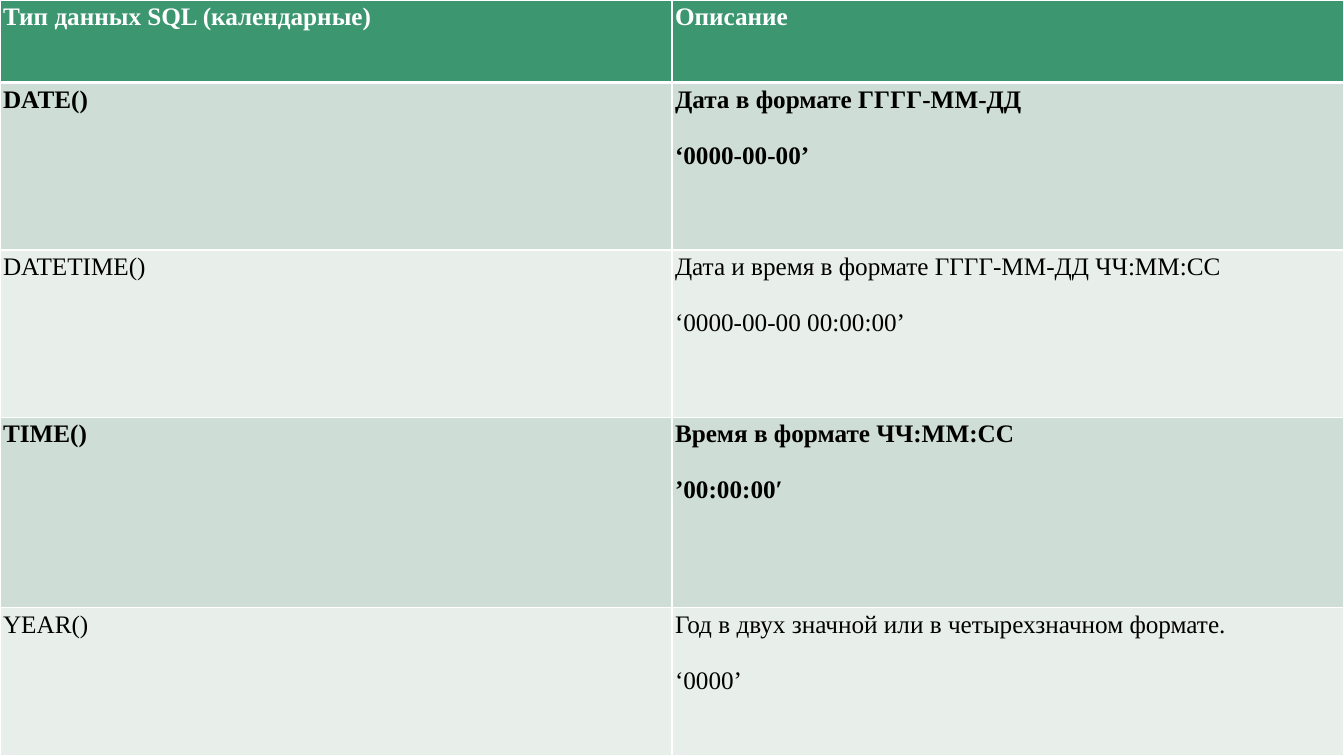
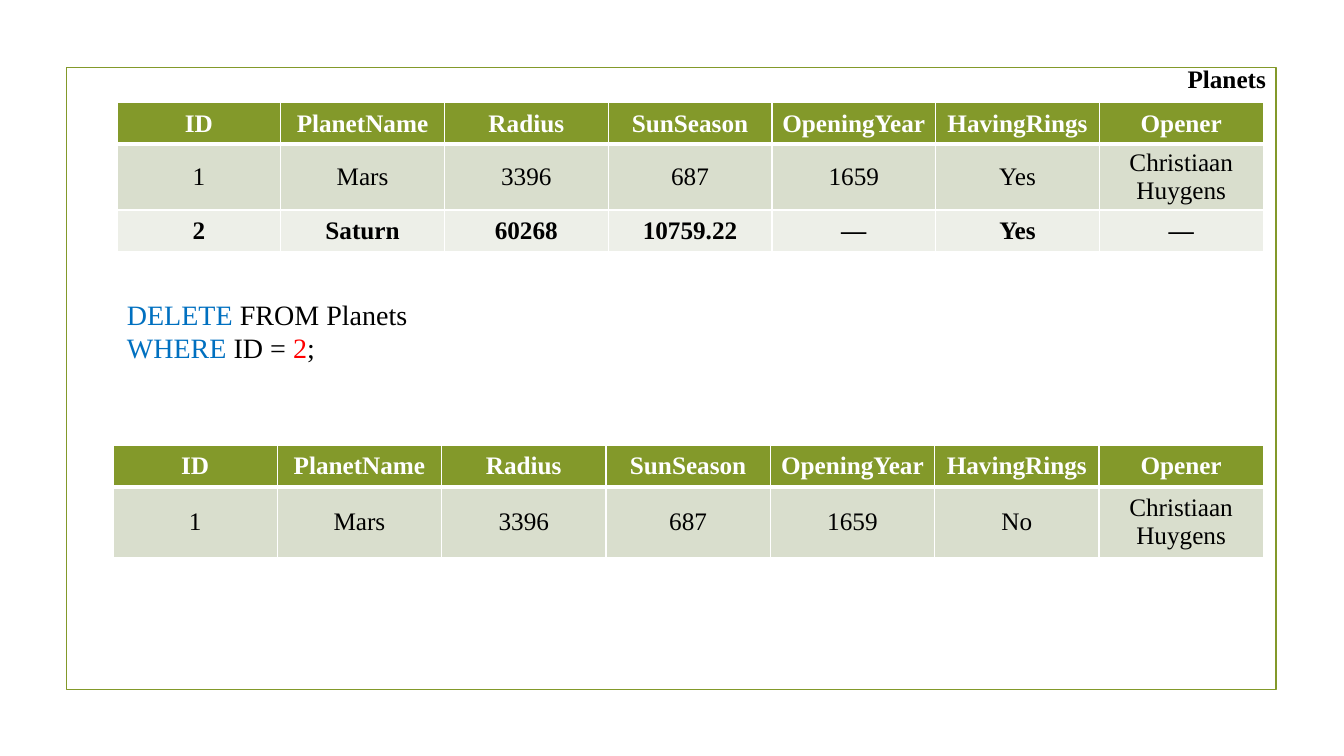
from dataclasses import dataclass

from lxml import etree
from pptx import Presentation
from pptx.dml.color import RGBColor
from pptx.enum.shapes import MSO_SHAPE
from pptx.enum.text import MSO_ANCHOR, PP_ALIGN
from pptx.oxml.ns import qn
from pptx.util import Inches, Pt

RECTANGLE = MSO_SHAPE.RECTANGLE
TOP, MIDDLE = MSO_ANCHOR.TOP, MSO_ANCHOR.MIDDLE
LEFT, CENTER = PP_ALIGN.LEFT, PP_ALIGN.CENTER

FONT = "Times New Roman"
COLORS = {
    "white": "FFFFFF",
    "black": "000000",
    "olive": "83992A",
    "olive_band": "D9DECD",
    "olive_light": "EDEFE8",
    "green": "3C9770",
    "green_band": "CEDDD5",
    "green_light": "E8EFEB",
    "keyword": "0070C0",
    "number": "FF0000",
}
SLIDE_WIDTH, SLIDE_HEIGHT = 13.33, 7.5


@dataclass(frozen=True)
class Row:
    cells: tuple[str, ...]
    height: float
    bold: bool = False


@dataclass(frozen=True)
class TableStyle:
    header: str
    bands: tuple[str, str]
    alignment: PP_ALIGN
    anchor: MSO_ANCHOR
    margins: tuple[float, float]  # horizontal, vertical
    paragraph_gap: float = 0


@dataclass(frozen=True)
class Box:
    left: float
    top: float
    width: float
    height: float

    def lengths(self) -> tuple:
        return tuple(map(Inches, (self.left, self.top, self.width, self.height)))


TYPES_STYLE = TableStyle("green", ("green_band", "green_light"), LEFT, TOP, (0.03, 0.03), 20)
PLANETS_STYLE = TableStyle("olive", ("olive_band", "olive_light"), CENTER, MIDDLE, (0.1, 0.05))

TYPE_ROWS = (
    Row(("Тип данных SQL (календарные)", "Описание"), 0.82, True),
    Row(("DATE()", "Дата в формате ГГГГ-ММ-ДД\n‘0000-00-00’"), 1.66, True),
    Row(("DATETIME()", "Дата и время в формате ГГГГ-ММ-ДД ЧЧ:ММ:СС\n‘0000-00-00 00:00:00’"), 1.66),
    Row(("TIME()", "Время в формате ЧЧ:ММ:СС\n’00:00:00′"), 1.89, True),
    Row(("YEAR()", "Год в двух значной или в четырехзначном формате.\n‘0000’"), 1.47),
)

PLANET_HEADER = Row(("ID", "PlanetName", "Radius", "SunSeason", "OpeningYear", "HavingRings", "Opener"),
                    0.41, True)
ROWS_BEFORE = (
    PLANET_HEADER,
    Row(("1", "Mars", "3396", "687", "1659", "Yes", "Christiaan Huygens"), 0.65),
    Row(("2", "Saturn", "60268", "10759.22", "—", "Yes", "—"), 0.41, True),
)
ROWS_AFTER = (
    PLANET_HEADER,
    Row(("1", "Mars", "3396", "687", "1659", "No", "Christiaan Huygens"), 0.7),
)

QUERY = (
    (("DELETE", "keyword"), (" FROM Planets", "black")),
    (("WHERE", "keyword"), (" ID = ", "black"), ("2", "number"), (";", "black")),
)


def rgb(color: str) -> RGBColor:
    return RGBColor.from_string(COLORS[color])


def format_font(font, size: float, color: str, bold: bool = False) -> None:
    font.name = FONT
    font.size = Pt(size)
    font.bold = bold
    font.color.rgb = rgb(color)


def set_borders(cell, top: float, bottom: float) -> None:
    """White cell borders; widths in points."""
    properties = cell._tc.get_or_add_tcPr()
    for tag, width in (("a:lnL", 1), ("a:lnR", 1), ("a:lnT", top), ("a:lnB", bottom)):
        line = etree.SubElement(properties, qn(tag), w=str(Pt(width)))
        fill = etree.SubElement(line, qn("a:solidFill"))
        etree.SubElement(fill, qn("a:srgbClr"), val=COLORS["white"])


def fill_cell(cell, text: str, row: Row, row_index: int, style: TableStyle) -> None:
    is_header = row_index == 0
    set_borders(cell, top=3 if row_index == 1 else 1, bottom=3 if is_header else 1)
    cell.fill.solid()
    cell.fill.fore_color.rgb = rgb(style.header if is_header else style.bands[(row_index - 1) % 2])
    horizontal, vertical = map(Inches, style.margins)
    cell.margin_left = cell.margin_right = horizontal
    cell.margin_top = cell.margin_bottom = vertical
    cell.vertical_anchor = style.anchor
    cell.text_frame.text = text
    for index, paragraph in enumerate(cell.text_frame.paragraphs):
        paragraph.alignment = style.alignment
        if index:
            paragraph.space_before = Pt(style.paragraph_gap)
        for run in paragraph.runs:
            format_font(run.font, 18, "white" if is_header else "black", row.bold)


def add_data_table(slide, left: float, top: float, width: float,
                   rows: tuple[Row, ...], style: TableStyle) -> None:
    column_count = len(rows[0].cells)
    box = Box(left, top, width, sum(row.height for row in rows))
    table = slide.shapes.add_table(len(rows), column_count, *box.lengths()).table
    for column in table.columns:
        column.width = Inches(width / column_count)
    for row_index, row in enumerate(rows):
        table.rows[row_index].height = Inches(row.height)
        for column_index, text in enumerate(row.cells):
            fill_cell(table.cell(row_index, column_index), text, row, row_index, style)


def add_frame(slide) -> None:
    shape = slide.shapes.add_shape(RECTANGLE, *Box(0.66, 0.67, 12, 6.17).lengths())
    shape.shadow.inherit = False
    shape.fill.background()
    shape.line.color.rgb = rgb("olive")
    shape.line.width = Pt(1.25)


def add_text(slide, box: Box, lines: tuple, size: float,
             bold: bool = False, wrap: bool = True) -> None:
    """Each line is a sequence of (text, color) pieces."""
    text_frame = slide.shapes.add_textbox(*box.lengths()).text_frame
    text_frame.word_wrap = wrap
    for index, pieces in enumerate(lines):
        paragraph = text_frame.add_paragraph() if index else text_frame.paragraphs[0]
        for text, color in pieces:
            run = paragraph.add_run()
            run.text = text
            format_font(run.font, size, color, bold)


def add_blank_slide(presentation):
    return presentation.slides.add_slide(presentation.slide_layouts[6])


def build_types_slide(presentation) -> None:
    slide = add_blank_slide(presentation)
    add_data_table(slide, 0, 0, SLIDE_WIDTH, TYPE_ROWS, TYPES_STYLE)


def build_delete_slide(presentation) -> None:
    slide = add_blank_slide(presentation)
    add_frame(slide)
    # Table before the query, the query, table after it
    add_data_table(slide, 1.16, 1.02, 11.37, ROWS_BEFORE, PLANETS_STYLE)
    add_text(slide, Box(1.16, 2.9, 6.67, 0.77), QUERY, 20)
    add_data_table(slide, 1.12, 4.42, 11.41, ROWS_AFTER, PLANETS_STYLE)
    # Table name
    add_text(slide, Box(11.68, 0.58, 0.99, 0.4), ((("Planets", "black"),),), 18, bold=True, wrap=False)


def main() -> None:
    presentation = Presentation()
    presentation.slide_width = Inches(SLIDE_WIDTH)
    presentation.slide_height = Inches(SLIDE_HEIGHT)
    build_types_slide(presentation)
    build_delete_slide(presentation)
    presentation.save("out.pptx")


if __name__ == "__main__":
    main()
